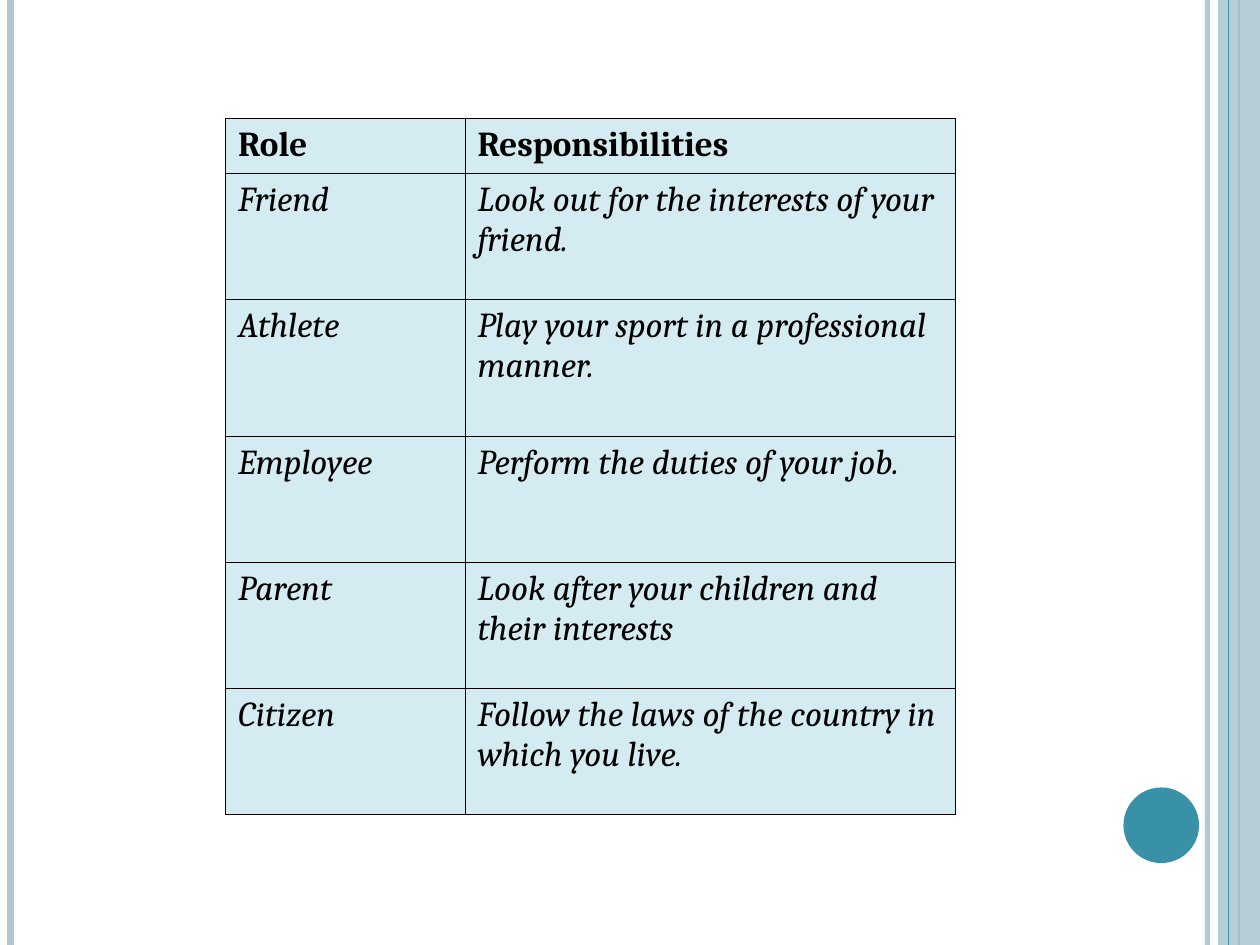
"""Build a slide with a table of roles and their responsibilities."""
from lxml import etree
from pptx import Presentation
from pptx.dml.color import RGBColor
from pptx.enum.shapes import MSO_CONNECTOR, MSO_SHAPE
from pptx.oxml.ns import qn
from pptx.util import Pt

STRAIGHT = MSO_CONNECTOR.STRAIGHT
RECT = MSO_SHAPE.RECTANGLE
OVAL = MSO_SHAPE.OVAL

WIDTH, HEIGHT = 720, 540
FONT = "Cambria"
COLORS = {"pale": "AEC7D0", "teal": "3891A7", "cell": "D4EBF1", "black": "000000"}
COL_WIDTHS = [136.8, 280]
ROW_HEIGHTS = [31.5, 72, 78.5, 72, 72, 72]
ROWS = [
    ("Role", "Responsibilities"),
    ("Friend", "Look out for the interests of your friend."),
    ("Athlete", "Play your sport in a professional manner."),
    ("Employee", "Perform the duties of your job."),
    ("Parent", "Look after your children and their interests"),
    ("Citizen", "Follow the laws of the country in which you live."),
]


def rgb(name):
    return RGBColor.from_string(COLORS[name])


def set_alpha(fill, percent):
    clr = fill._xPr.find(qn("a:solidFill"))[0]
    etree.SubElement(clr, qn("a:alpha"), val=str(percent * 1000))


def add_rule(s, x, color, width, alpha=100):
    sp = s.shapes.add_connector(STRAIGHT, Pt(x), Pt(0), Pt(x), Pt(HEIGHT))
    sp.line.color.rgb = rgb(color)
    sp.line.width = Pt(width)
    if alpha < 100:
        set_alpha(sp.line.fill, alpha)
    etree.SubElement(sp._element.spPr, qn("a:effectLst"))


def add_filled(s, kind, left, top, width, height, color, alpha=100):
    sp = s.shapes.add_shape(kind, Pt(left), Pt(top), Pt(width), Pt(height))
    sp.shadow.inherit = False
    sp.fill.solid()
    sp.fill.fore_color.rgb = rgb(color)
    if alpha < 100:
        set_alpha(sp.fill, alpha)
    sp.line.fill.background()


def add_borders(cell, color, width):
    tc_pr = cell._tc.get_or_add_tcPr()
    for side in ("lnL", "lnR", "lnT", "lnB"):
        ln = etree.SubElement(tc_pr, qn(f"a:{side}"), w=str(Pt(width)))
        fill = etree.SubElement(ln, qn("a:solidFill"))
        etree.SubElement(fill, qn("a:srgbClr"), val=COLORS[color])


def write(cell, text, size=20, color="black", bold=False, italic=False):
    p = cell.text_frame.paragraphs[0]
    r = p.add_run()
    r.text = text
    r.font.name = FONT
    r.font.size = Pt(size)
    r.font.bold = bold
    r.font.italic = italic
    r.font.color.rgb = rgb(color)


def add_role_table(s, left, top):
    frame = s.shapes.add_table(
        len(ROWS), len(COL_WIDTHS), Pt(left), Pt(top),
        Pt(sum(COL_WIDTHS)), Pt(sum(ROW_HEIGHTS)))
    table = frame.table
    table.first_row = table.horz_banding = False
    for col, width in zip(table.columns, COL_WIDTHS):
        col.width = Pt(width)
    for i, (row, height) in enumerate(zip(table.rows, ROW_HEIGHTS)):
        row.height = Pt(height)
        for cell, text in zip(row.cells, ROWS[i]):
            add_borders(cell, "black", 0.45)
            cell.fill.solid()
            cell.fill.fore_color.rgb = rgb("cell")
            write(cell, text, bold=i == 0, italic=i > 0)


def main():
    prs = Presentation()
    prs.slide_width, prs.slide_height = Pt(WIDTH), Pt(HEIGHT)
    s = prs.slides.add_slide(prs.slide_layouts[6])
    add_rule(s, 690, "pale", 3, alpha=93)
    add_rule(s, 6, "pale", 4.5)
    add_rule(s, 708, "teal", 1.5)
    add_filled(s, RECT, 696, 0, 24, HEIGHT, "pale", alpha=87)
    add_rule(s, 702, "teal", 0.75)
    add_filled(s, OVAL, 642, 450, 43.2, 43.2, "teal")
    add_role_table(s, 128.9, 67.6)
    prs.save("out.pptx")


if __name__ == "__main__":
    main()
